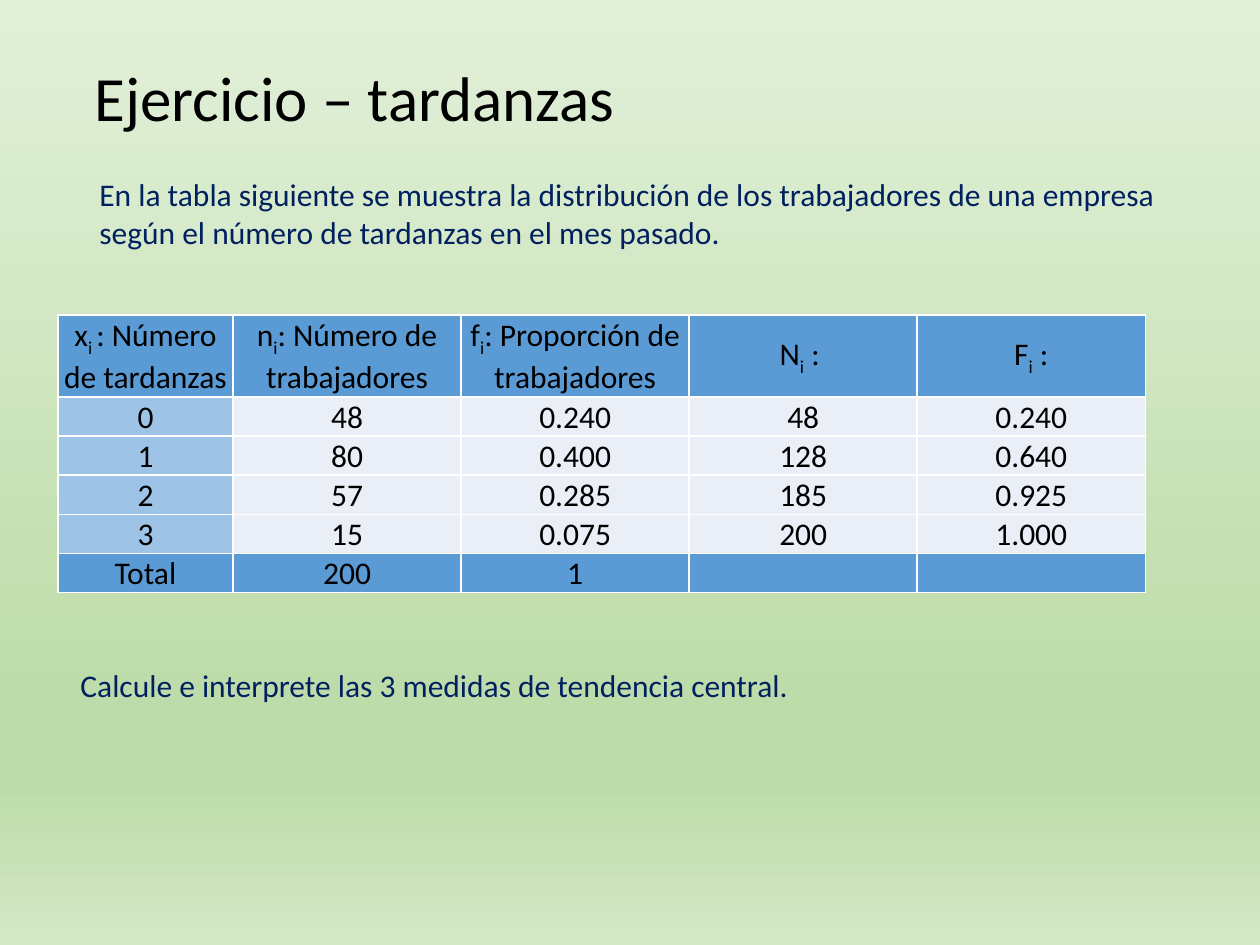
import lxml.etree
import pptx
import pptx.dml.color
import pptx.enum.text
import pptx.oxml.ns
import pptx.util
from pptx.util import Inches

FONT = "Calibri"
COLORS = {
    "text": "000000",
    "body": "002060",
    "header": "5B9BD5",
    "label": "9DC3E6",
    "value": "EAEFF7",
    "border": "FFFFFF",
}
BACKGROUND_STOPS = [(0, "E2F0D9"), (74, "BEDCAA"), (83, "BEDCAA"), (100, "D4E8C6")]
COUNT_ROWS = [
    [("x", "i ", ": Número de tardanzas"), ("n", "i", ": Número de trabajadores")],
    ["0", "48"],
    ["1", "80"],
    ["2", "57"],
    ["3", "15"],
    ["Total", "200"],
]
PROPORTION_ROWS = [
    [("f", "i", ": Proporción de trabajadores"), ("N", "i", " : "), ("F", "i", " :")],
    ["0.240", "48", "0.240"],
    ["0.400", "128", "0.640"],
    ["0.285", "185", "0.925"],
    ["0.075", "200", "1.000"],
    ["1", "", ""],
]


def rgb(name):
    """Return the named colour."""
    return pptx.dml.color.RGBColor.from_string(COLORS[name])


def add_child(parent, tag, **attributes):
    """Append a DrawingML element with the given attributes."""
    child = lxml.etree.SubElement(parent, pptx.oxml.ns.qn(tag))
    for key, value in attributes.items():
        child.set(key, str(value))
    return child


def add_run(paragraph, text, size, color, subscript=False):
    """Add one formatted run."""
    run = paragraph.add_run()
    run.text = text
    run.font.name = FONT
    run.font.size = pptx.util.Pt(size)
    run.font.bold = False
    run.font.color.rgb = rgb(color)
    if subscript:
        run.font._element.set("baseline", "-25000")


def paint_background(slide):
    """Fill the background with the vertical green gradient."""
    fill = slide.background.fill
    fill.gradient()
    fill.gradient_angle = 270
    stops = next(slide.element.iter(pptx.oxml.ns.qn("a:gsLst")))
    for stop in list(stops):
        stops.remove(stop)
    for position, color in BACKGROUND_STOPS:
        stop = add_child(stops, "a:gs", pos=position * 1000)
        add_child(stop, "a:srgbClr", val=color)


def set_title(slide, text):
    """Place and format the title."""
    title = slide.shapes.title
    title.left, title.top = Inches(0.54), Inches(0.21)
    title.width, title.height = Inches(8.97), Inches(1.18)
    frame = title.text_frame
    frame.margin_left = Inches(0.21)
    frame.vertical_anchor = pptx.enum.text.MSO_ANCHOR.MIDDLE
    paragraph = frame.paragraphs[0]
    paragraph.alignment = pptx.enum.text.PP_ALIGN.LEFT
    paragraph.line_spacing = 0.9
    add_run(paragraph, text, 36, "text")


def add_statement(slide, text, left, top, width, height, space_before=0):
    """Add a wrapped paragraph of the exercise."""
    box = slide.shapes.add_textbox(Inches(left), Inches(top), Inches(width), Inches(height))
    box.text_frame.word_wrap = True
    paragraph = box.text_frame.paragraphs[0]
    paragraph.space_before = pptx.util.Pt(space_before)
    add_run(paragraph, text, 18, "body")


def fill_cell(cell, content, color):
    """Write a cell, with the second part of a tuple as subscript."""
    cell.margin_left = cell.margin_right = cell.margin_top = Inches(0.01)
    cell.margin_bottom = 0
    cell.vertical_anchor = pptx.enum.text.MSO_ANCHOR.MIDDLE
    properties = cell._tc.get_or_add_tcPr()
    for side in "LRTB":
        line = add_child(properties, f"a:ln{side}", w=pptx.util.Pt(1))
        add_child(add_child(line, "a:solidFill"), "a:srgbClr", val=COLORS["border"])
    cell.fill.solid()
    cell.fill.fore_color.rgb = rgb(color)
    paragraph = cell.text_frame.paragraphs[0]
    paragraph.alignment = pptx.enum.text.PP_ALIGN.CENTER
    paragraph.font.size = pptx.util.Pt(18)
    parts = content if isinstance(content, tuple) else (content,)
    for index, part in enumerate(parts):
        if part:
            add_run(paragraph, part, 18, "text", subscript=index == 1)


def add_frequency_table(slide, rows, left, widths, labelled=False):
    """Add a frequency table with a header row and a total row."""
    heights = [0.61] + [0.31] * (len(rows) - 1)
    table = slide.shapes.add_table(
        len(rows), len(widths), Inches(left), Inches(2.5),
        Inches(sum(widths)), Inches(sum(heights)),
    ).table
    table.first_row = table.horz_banding = False
    for column, width in zip(table.columns, widths):
        column.width = Inches(width)
    for row, height in zip(table.rows, heights):
        row.height = Inches(height)
    for r, contents in enumerate(rows):
        for c, content in enumerate(contents):
            if r in (0, len(rows) - 1):
                color = "header"
            else:
                color = "label" if labelled and c == 0 else "value"
            fill_cell(table.cell(r, c), content, color)


def main():
    """Build the exercise slide."""
    presentation = pptx.Presentation()
    presentation.slide_width, presentation.slide_height = Inches(10), Inches(7.5)
    slide = presentation.slides.add_slide(presentation.slide_layouts[5])
    paint_background(slide)
    set_title(slide, "Ejercicio – tardanzas")
    add_statement(
        slide,
        "En la tabla siguiente se muestra la distribución de los trabajadores "
        "de una empresa según el número de tardanzas en el mes pasado.",
        0.69, 1.34, 8.62, 0.92, space_before=6,
    )
    add_frequency_table(slide, COUNT_ROWS, 0.46, [1.39, 1.81], labelled=True)
    add_frequency_table(slide, PROPORTION_ROWS, 3.66, [1.81] * 3)
    add_statement(
        slide,
        "Calcule e interprete las 3 medidas de tendencia central.",
        0.54, 5.24, 8.54, 0.4,
    )
    presentation.save("out.pptx")


if __name__ == "__main__":
    main()
